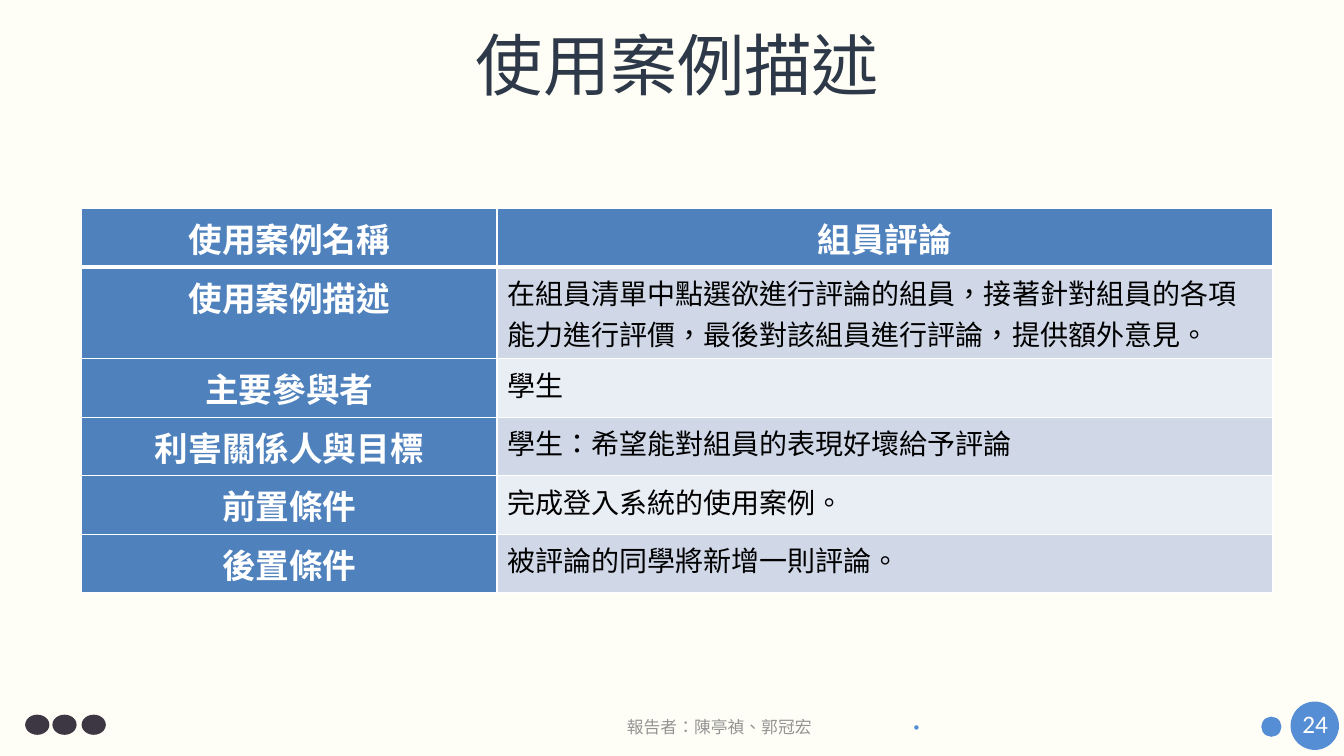
from dataclasses import dataclass

from lxml.etree import SubElement
from pptx import Presentation
from pptx.dml.color import RGBColor
from pptx.enum.lang import MSO_LANGUAGE_ID
from pptx.enum.shapes import MSO_SHAPE
from pptx.enum.text import MSO_ANCHOR, PP_ALIGN
from pptx.oxml.ns import qn
from pptx.slide import Slide
from pptx.table import _Cell
from pptx.text.text import _Paragraph
from pptx.util import Inches, Pt

COLORS = {
    "background": "FFFEF6", "title": "2D3848", "footer": "949494",
    "accent": "558ED5", "dark": "3D3743", "header": "4F81BD",
    "odd": "D0D8E8", "even": "E9EDF4", "white": "FFFFFF", "black": "000000",
}
CJK = "Noto Sans CJK SC"
LATIN = "Calibri"


@dataclass
class Label:
    text: str
    left: float
    top: float
    width: float
    height: float
    size: int
    color: str
    font: str = CJK
    align: PP_ALIGN = PP_ALIGN.LEFT
    anchor: MSO_ANCHOR = MSO_ANCHOR.TOP
    wrap: bool = False


@dataclass
class Dot:
    left: float
    top: float
    width: float
    height: float
    color: str


@dataclass
class CaseRow:
    name: str
    content: str
    height: float = 0.58


DOTS = [
    Dot(12.8, 6.96, 0.48, 0.48, "accent"),
    Dot(12.51, 7.11, 0.2, 0.2, "accent"),
    *(Dot(left, 7.09, 0.24, 0.2, "dark") for left in (0.25, 0.52, 0.81)),
]
LABELS = [
    Label("報告者：陳亭禎、郭冠宏", 6.11, 7.06, 2.05, 0.3, 12, "footer", align=PP_ALIGN.CENTER),
    Label("•", 8.96, 7.08, 0.27, 0.25, 9, "accent", LATIN),
    Label("使用案例描述", 2.05, 0.11, 9.34, 1.05, 48, "title",
          align=PP_ALIGN.CENTER, anchor=MSO_ANCHOR.MIDDLE, wrap=True),
    Label("24", 12.82, 6.98, 0.46, 0.4, 18, "white", LATIN),
]
ROWS = [
    CaseRow("使用案例名稱", "組員評論"),
    CaseRow("使用案例描述", "在組員清單中點選欲進行評論的組員，接著針對組員的各項"
            "能力進行評價，最後對該組員進行評論，提供額外意見。", 0.91),
    CaseRow("主要參與者", "學生"),
    CaseRow("利害關係人與目標", "學生：希望能對組員的表現好壞給予評論"),
    CaseRow("前置條件", "完成登入系統的使用案例。"),
    CaseRow("後置條件", "被評論的同學將新增一則評論。"),
]
COLUMNS = (4.12, 7.69)


def rgb(name: str) -> RGBColor:
    return RGBColor.from_string(COLORS[name])


def style(p: _Paragraph, size: int, color: str, font: str = CJK,
          align: PP_ALIGN = PP_ALIGN.LEFT, bold: bool = False) -> None:
    p.alignment = align
    p.font.size = Pt(size)
    p.font.bold = bold
    p.font.color.rgb = rgb(color)
    p.font.name = font
    SubElement(p._p.pPr.find(qn("a:defRPr")), qn("a:ea"), typeface=font)
    for r in p.runs:
        r.font.language_id = MSO_LANGUAGE_ID.TRADITIONAL_CHINESE


def add_dot(s: Slide, dot: Dot) -> None:
    sp = s.shapes.add_shape(MSO_SHAPE.OVAL, Inches(dot.left), Inches(dot.top),
                            Inches(dot.width), Inches(dot.height))
    sp.shadow.inherit = False
    sp.fill.solid()
    sp.fill.fore_color.rgb = rgb(dot.color)
    sp.line.fill.background()


def add_label(s: Slide, label: Label) -> None:
    sp = s.shapes.add_textbox(Inches(label.left), Inches(label.top),
                              Inches(label.width), Inches(label.height))
    tf = sp.text_frame
    tf.word_wrap = label.wrap
    tf.vertical_anchor = label.anchor
    p = tf.paragraphs[0]
    p.text = label.text
    style(p, label.size, label.color, label.font, label.align)


def add_borders(cell: _Cell, top: int, bottom: int) -> None:
    tc_pr = cell._tc.get_or_add_tcPr()
    for side, width in (("L", 1), ("R", 1), ("T", top), ("B", bottom)):
        ln = SubElement(tc_pr, qn(f"a:ln{side}"), w=str(Pt(width)))
        fill = SubElement(ln, qn("a:solidFill"))
        SubElement(fill, qn("a:srgbClr"), val=COLORS["white"])


def add_case_table(s: Slide, rows: list[CaseRow]) -> None:
    frame = s.shapes.add_table(len(rows), len(COLUMNS), Inches(0.81), Inches(2.07),
                               Inches(sum(COLUMNS)), Inches(sum(row.height for row in rows)))
    table = frame.table
    table.first_row = table.horz_banding = False
    for column, width in zip(table.columns, COLUMNS):
        column.width = Inches(width)
    for i, row in enumerate(rows):
        table.rows[i].height = Inches(row.height)
        for j, text in enumerate((row.name, row.content)):
            cell = table.cell(i, j)
            is_header = i == 0 or j == 0
            add_borders(cell, 3 if i == 1 else 1, 3 if i == 0 else 1)
            cell.fill.solid()
            cell.fill.fore_color.rgb = rgb("header" if is_header else "odd" if i % 2 else "even")
            p = cell.text_frame.paragraphs[0]
            p.text = text
            if is_header:
                style(p, 24, "white", align=PP_ALIGN.CENTER, bold=True)
            else:
                style(p, 20, "black")


def main() -> None:
    prs = Presentation()
    prs.slide_width, prs.slide_height = Inches(13.33), Inches(7.5)
    s = prs.slides.add_slide(prs.slide_layouts[6])
    s.background.fill.solid()
    s.background.fill.fore_color.rgb = rgb("background")
    for dot in DOTS:
        add_dot(s, dot)
    for label in LABELS:
        add_label(s, label)
    add_case_table(s, ROWS)
    prs.save("out.pptx")


if __name__ == "__main__":
    main()
